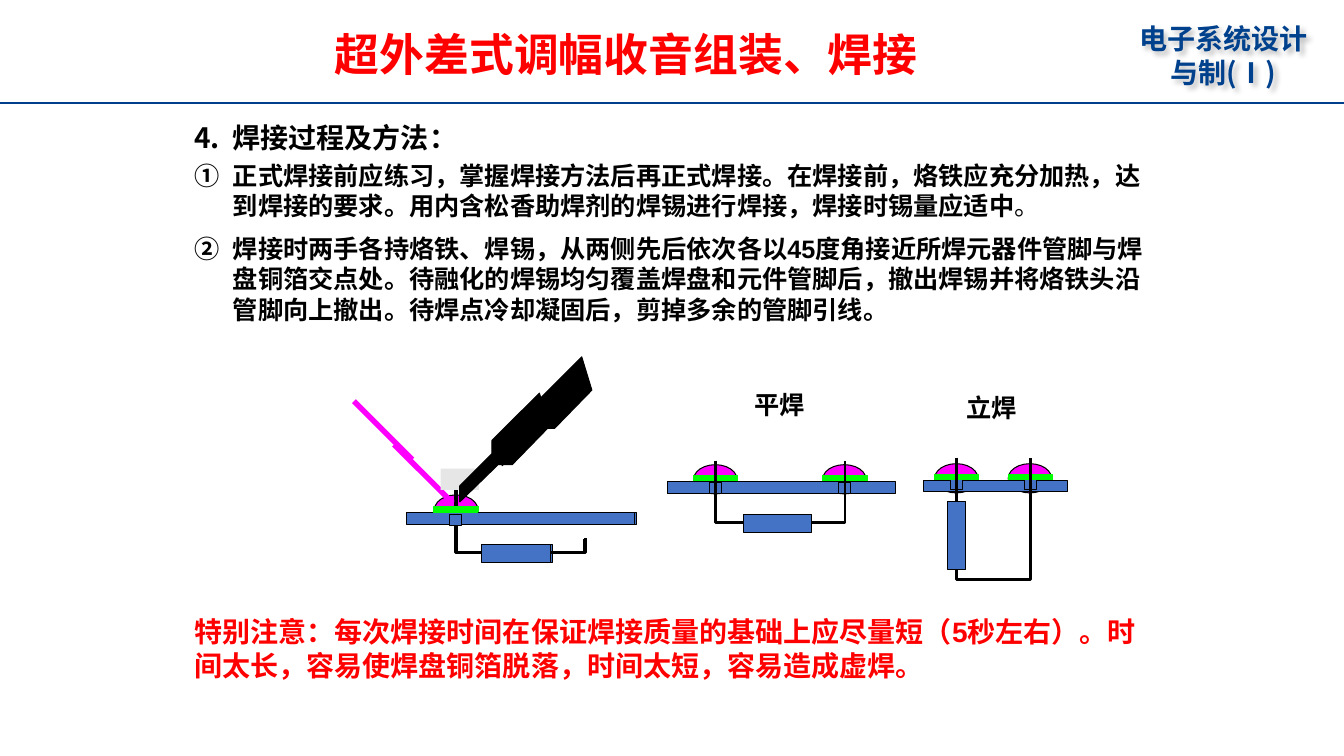
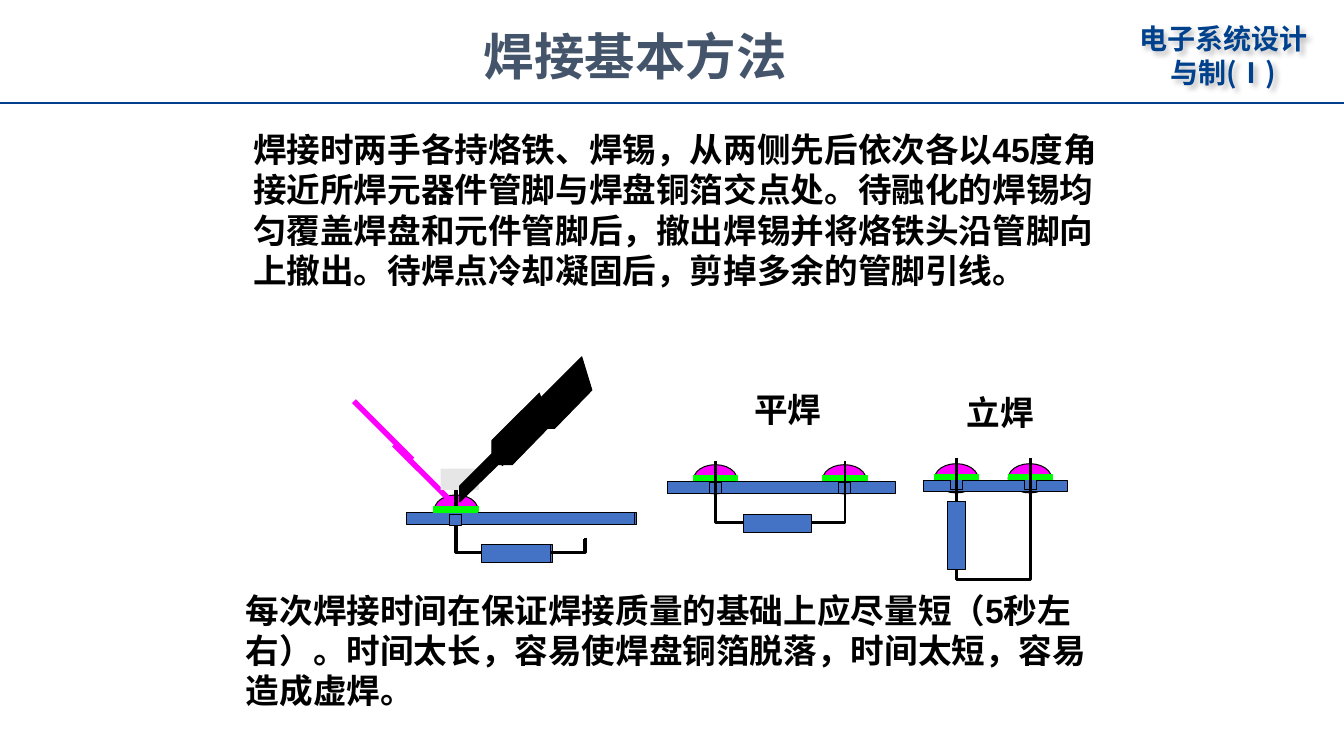
from dataclasses import dataclass
from typing import NamedTuple, Optional, Sequence

from lxml.etree import SubElement
from pptx import Presentation
from pptx.dml.color import RGBColor
from pptx.enum.shapes import MSO_CONNECTOR as Connector
from pptx.enum.shapes import MSO_SHAPE as Preset
from pptx.enum.text import MSO_ANCHOR as Anchor
from pptx.enum.text import MSO_AUTO_SIZE as AutoSize
from pptx.enum.text import PP_ALIGN as Align
from pptx.oxml.ns import qn
from pptx.util import Inches, Pt

BLACK = RGBColor(0x00, 0x00, 0x00)
RED = RGBColor(0xFF, 0x00, 0x00)
SLATE = RGBColor(0x44, 0x54, 0x6A)
COURSE_BLUE = RGBColor(0x00, 0x41, 0x8D)
RULE_BLUE = RGBColor(0x00, 0x3F, 0x8C)
BOARD_BLUE = RGBColor(0x44, 0x72, 0xC4)
SOLDER = RGBColor(0xFF, 0x00, 0xFF)
PAD_GREEN = RGBColor(0x00, 0xFF, 0x00)
SMOKE = RGBColor(0xE7, 0xE6, 0xE6)

CJK_FONT = "Noto Sans CJK SC"
LINE_PITCH = 1.2
LIST_INDENT = 0.38

METHOD = ("焊接时两手各持烙铁、焊锡，从两侧先后依次各以45度角接近所焊元器件管脚与焊盘铜箔交点处。"
          "待融化的焊锡均匀覆盖焊盘和元件管脚后，撤出焊锡并将烙铁头沿管脚向上撤出。"
          "待焊点冷却凝固后，剪掉多余的管脚引线。")
PRACTICE = ("正式焊接前应练习，掌握焊接方法后再正式焊接。在焊接前，烙铁应充分加热，达到焊接的要求。"
            "用内含松香助焊剂的焊锡进行焊接，焊接时锡量应适中")
TIMING = ("每次焊接时间在保证焊接质量的基础上应尽量短（5秒左右）。"
          "时间太长，容易使焊盘铜箔脱落，时间太短，容易造成虚焊。")


class Point(NamedTuple):
    x: float
    y: float


class Box(NamedTuple):
    left: float
    top: float
    width: float
    height: float


class Passage(NamedTuple):
    bold: str
    plain: str = ""


@dataclass(frozen=True)
class Mounting:
    joints: Sequence[float]
    dome_top: float
    board: Box
    lead: Sequence[Point]
    resistor: Box
    rotation: int = 0
    hole_drop: float = 0.18
    has_domes: bool = True
    lead_behind: bool = False


MOUNTINGS = (
    Mounting((4.31,), 4.91, Box(4.05, 5.08, 2.26, 0.12),
             (Point(4.53, 4.68), Point(4.53, 5.48), Point(5.81, 5.48), Point(5.81, 5.34)),
             Box(4.8, 5.4, 0.68, 0.18)),
    Mounting((4.3,), 4.92, Box(4.03, 5.08, 2.26, 0.12),
             (Point(4.52, 4.68), Point(4.52, 5.48), Point(5.8, 5.48), Point(5.8, 5.35)),
             Box(4.78, 5.4, 0.68, 0.18), has_domes=False, lead_behind=True),
    Mounting((6.88, 8.16), 4.61, Box(6.62, 4.78, 2.26, 0.12),
             (Point(7.1, 4.57), Point(7.1, 5.18), Point(8.38, 5.18), Point(8.38, 4.57)),
             Box(7.37, 5.1, 0.68, 0.18)),
    Mounting((9.27, 10), 4.6, Box(9.16, 4.77, 1.43, 0.11),
             (Point(9.49, 4.54), Point(9.49, 5.75), Point(10.22, 5.75), Point(10.22, 4.54)),
             Box(9.15, 5.22, 0.68, 0.18), rotation=270, hole_drop=0.15),
)
IRON = (Point(0.79, 0), Point(0.32, 0.47), Point(0.32, 0.6), Point(0, 0.92),
        Point(0, 1.08), Point(0.38, 0.71), Point(0.52, 0.71), Point(0.89, 0.33))
IRON_CORNERS = (Point(4.98, 3.54), Point(4.56, 3.9))
WIRE_STARTS = (Point(3.51, 3.98), Point(3.91, 4.41))
WIRE_REACH = 0.58
LABELS = (("平焊", Point(7.38, 3.81)), ("立焊", Point(9.49, 3.84)))


def place(shape, box: Box) -> None:
    shape.left, shape.top, shape.width, shape.height = map(Inches, box)


def write(shape, *passages: Passage, size: float, color: RGBColor = BLACK,
          font: str = "Arial", align: Align = Align.LEFT, anchor: Anchor = Anchor.TOP,
          wrap: bool = True, numbering: Optional[str] = None, start: int = 1) -> None:
    frame = shape.text_frame
    frame.auto_size = AutoSize.NONE
    frame.word_wrap = wrap
    frame.vertical_anchor = anchor
    for index, passage in enumerate(passages):
        paragraph = frame.add_paragraph() if index else frame.paragraphs[0]
        paragraph.alignment = align
        paragraph.line_spacing = Pt(size * LINE_PITCH)
        paragraph.space_before = Pt(size / 2 if index else 0)
        properties = paragraph._p.get_or_add_pPr()
        indent = Inches(LIST_INDENT) if numbering else 0
        properties.set("marL", str(indent))
        properties.set("indent", str(-indent))
        if numbering:
            SubElement(properties, qn("a:buFont"), typeface="+mj-lt")
            SubElement(properties, qn("a:buAutoNum"), type=numbering, startAt=str(start))
        else:
            SubElement(properties, qn("a:buNone"))
        for text, bold in ((passage.bold, True), (passage.plain, False)):
            if text:
                run = paragraph.add_run()
                run.text = text
                run.font.name, run.font.size, run.font.bold = font, Pt(size), bold
                run.font.color.rgb = color
                run_properties = run._r.get_or_add_rPr()
                run_properties.set("lang", "zh-CN")
                SubElement(run_properties, qn("a:ea"), typeface=CJK_FONT)


def add_text(shapes, box: Box, *passages: Passage, **text_format):
    textbox = shapes.add_textbox(*map(Inches, box))
    write(textbox, *passages, **text_format)
    return textbox


def add_line(shapes, start: Point, end: Point, color: RGBColor, width: float):
    line = shapes.add_connector(Connector.STRAIGHT, *map(Inches, (*start, *end)))
    line.line.color.rgb = color
    line.line.width = Pt(width)
    SubElement(line.element.spPr, qn("a:effectLst"))
    return line


def paint(shape, fill: Optional[RGBColor], outline: Optional[RGBColor],
          width: float = 0.75) -> None:
    shape.shadow.inherit = False
    if fill is None:
        shape.fill.background()
    else:
        shape.fill.solid()
        shape.fill.fore_color.rgb = fill
    if outline is None:
        shape.line.fill.background()
    else:
        shape.line.color.rgb = outline
        shape.line.width = Pt(width)


def add_part(shapes, box: Box, fill: RGBColor, outline: Optional[RGBColor] = BLACK,
             preset: Preset = Preset.RECTANGLE, rotation: int = 0) -> None:
    part = shapes.add_shape(preset, *map(Inches, box))
    part.rotation = rotation
    paint(part, fill, outline)


def add_outline(shapes, points: Sequence[Point], closed: bool,
                fill: Optional[RGBColor] = None, width: float = 0.75) -> None:
    first, *rest = [(Inches(x), Inches(y)) for x, y in points]
    builder = shapes.build_freeform(*first)
    builder.add_line_segments(rest, close=closed)
    paint(builder.convert_to_shape(), fill, BLACK, width)


def draw_mounting(slide, mounting: Mounting) -> None:
    shapes = slide.shapes.add_group_shape().shapes
    top = mounting.dome_top
    if mounting.has_domes:
        for joint in mounting.joints:
            add_part(shapes, Box(joint, top, 0.43, 0.29), SOLDER, preset=Preset.OVAL)
    if mounting.lead_behind:
        add_outline(shapes, mounting.lead, False, width=2)
    add_part(shapes, mounting.board, BOARD_BLUE)
    for joint in mounting.joints:
        add_part(shapes, Box(joint + 0.16, top + mounting.hole_drop, 0.12, 0.11), BOARD_BLUE)
        add_part(shapes, Box(joint, top + 0.11, 0.44, 0.05), PAD_GREEN, PAD_GREEN)
    if not mounting.lead_behind:
        add_outline(shapes, mounting.lead, False, width=2)
    add_part(shapes, mounting.resistor, BOARD_BLUE, rotation=mounting.rotation)


def draw_tools(slide, wire: Point, iron: Point) -> None:
    tip = Point(wire.x + WIRE_REACH, wire.y + WIRE_REACH)
    add_line(slide.shapes, wire, tip, SOLDER, 4)
    if wire == WIRE_STARTS[-1]:
        add_part(slide.shapes, Box(4.37, 4.65, 0.38, 0.21), SMOKE, None)
    add_outline(slide.shapes, [Point(iron.x + x, iron.y + y) for x, y in IRON], True, BLACK)


def draw_soldering(slide, label_size: float) -> None:
    for mounting in MOUNTINGS:
        draw_mounting(slide, mounting)
    for wire, iron in zip(WIRE_STARTS, IRON_CORNERS):
        draw_tools(slide, wire, iron)
    for label, corner in LABELS:
        add_text(slide.shapes, Box(*corner, 0.88, 0.5), Passage(label),
                 size=label_size, wrap=False)


def add_header(slide) -> None:
    course = add_text(slide.shapes, Box(11.14, 0.27, 1.99, 0.56),
                      Passage("电子系统设计与制(Ⅰ)"), size=20, color=COURSE_BLUE,
                      font=CJK_FONT, align=Align.CENTER, anchor=Anchor.MIDDLE)
    effects = SubElement(course.element.spPr, qn("a:effectLst"))
    shadow = SubElement(effects, qn("a:outerShdw"), blurRad="50800", dist="38100", dir="2700000")
    tint = SubElement(shadow, qn("a:srgbClr"), val=str(BLACK))
    SubElement(tint, qn("a:alpha"), val="25000")
    rule = add_line(slide.shapes, Point(0, 1.02), Point(13.33, 1.02), RULE_BLUE, 1.5)
    for shared in (course, rule):
        slide.slide_layout.shapes.element.append(shared.element)


def fill_placeholder(placeholder, box: Box, *passages: Passage, **text_format) -> None:
    place(placeholder, box)
    write(placeholder, *passages, **text_format)


def build_assembly(slide) -> None:
    title, steps = slide.placeholders
    fill_placeholder(title, Box(3.22, 0.14, 7.87, 0.71), Passage("超外差式调幅收音组装、焊接"),
                     size=32, color=RED, font="Times New Roman", anchor=Anchor.BOTTOM)
    add_text(slide.shapes, Box(1.83, 1.15, 6.46, 0.44), Passage("焊接过程及方法："),
             size=20, numbering="arabicPeriod", start=4)
    fill_placeholder(steps, Box(1.83, 1.54, 9.75, 1.77), Passage(PRACTICE, "。"),
                     Passage(METHOD), size=18, numbering="circleNumDbPlain")
    draw_soldering(slide, 18)
    add_text(slide.shapes, Box(1.83, 6.05, 9.75, 0.77), Passage("特别注意：" + TIMING),
             size=20, color=RED)


def build_basics(slide) -> None:
    title, method = slide.placeholders
    fill_placeholder(title, Box(4.3, 0.26, 4, 0.57), Passage("焊接基本方法"), size=36,
                     color=SLATE, font="Times New Roman", align=Align.CENTER,
                     anchor=Anchor.MIDDLE)
    fill_placeholder(method, Box(2.41, 1.23, 8.65, 1.72), Passage(METHOD), size=24)
    draw_soldering(slide, 24)
    add_text(slide.shapes, Box(2.34, 5.8, 8.83, 1.3), Passage(TIMING), size=24)


def main() -> None:
    deck = Presentation()
    deck.slide_width, deck.slide_height = Inches(13.33), Inches(7.5)
    layout = deck.slide_layouts[1]
    assembly, basics = (deck.slides.add_slide(layout) for _ in range(2))
    add_header(assembly)
    build_assembly(assembly)
    build_basics(basics)
    deck.save("out.pptx")


if __name__ == "__main__":
    main()
